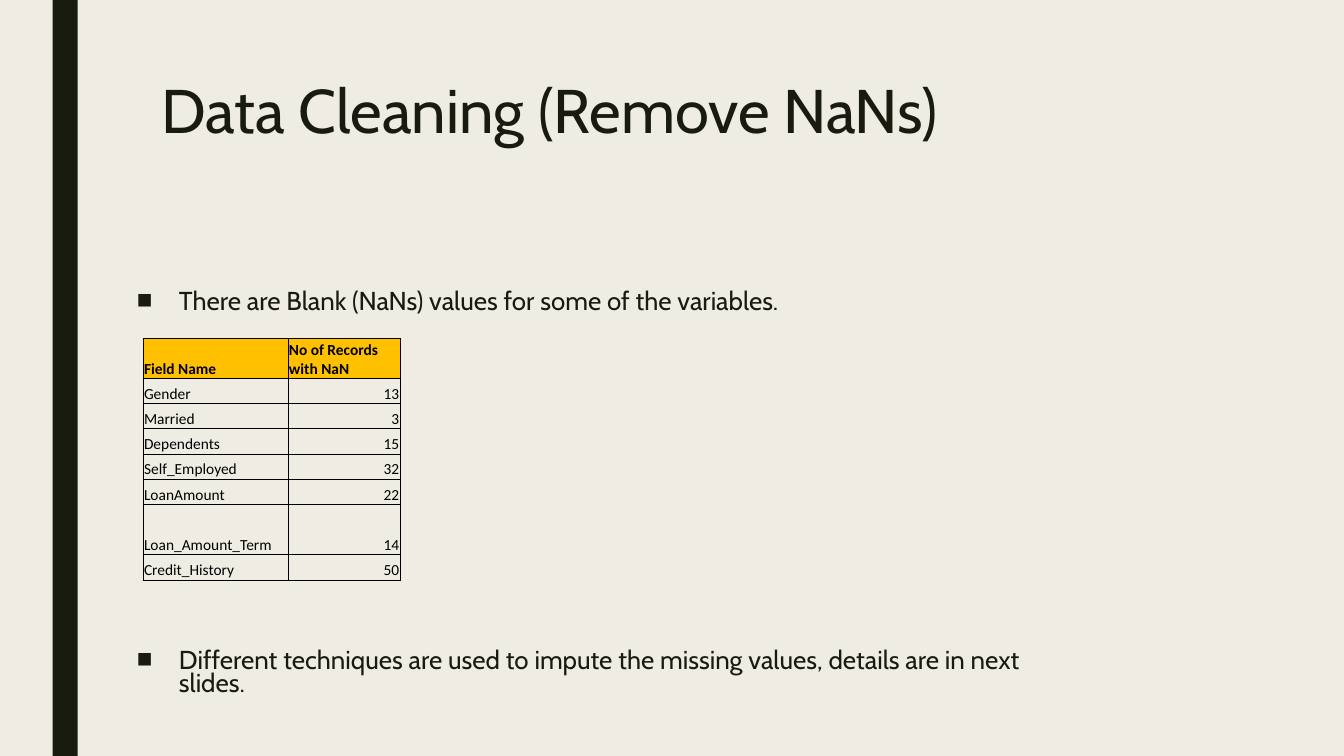
from lxml.etree import SubElement
from pptx import Presentation
from pptx.dml.color import RGBColor
from pptx.enum.shapes import MSO_SHAPE
from pptx.enum.text import MSO_ANCHOR, PP_ALIGN
from pptx.oxml.ns import qn
from pptx.util import Pt

COLORS = {"paper": "EFEDE3", "ink": "191B0E", "header": "FFC000", "black": "000000"}


def write(para, text, size, font="Cabin", color="ink", bold=False,
          align=PP_ALIGN.LEFT, spacing=None, before=0, after=0, bullet=None):
    """Fill a paragraph with one formatted span, optionally bulleted."""
    para.alignment = align
    para.line_spacing = spacing
    para.space_before, para.space_after = Pt(before), Pt(after)
    span = para.add_run()
    span.text = text
    span.font.name, span.font.size, span.font.bold = font, Pt(size), bold
    span.font.color.rgb = RGBColor.from_string(COLORS[color])
    if bullet:
        properties = para._p.get_or_add_pPr()
        properties.set("marL", str(Pt(30)))
        properties.set("indent", str(-Pt(30)))
        SubElement(properties, qn("a:buFont"), typeface="Arial")
        SubElement(properties, qn("a:buChar"), char=bullet)


def outline(cell):
    """Draw a thin black line on all four sides of a cell."""
    properties = cell._tc.get_or_add_tcPr()
    for index, side in enumerate(("a:lnL", "a:lnR", "a:lnT", "a:lnB")):
        line = SubElement(properties, qn(side), w=str(Pt(0.5)))
        fill = SubElement(line, qn("a:solidFill"))
        SubElement(fill, qn("a:srgbClr"), val=COLORS["black"])
        properties.insert(index, line)  # borders come before the cell fill


deck = Presentation()
deck.slide_width, deck.slide_height = Pt(960), Pt(540)
page = deck.slides.add_slide(deck.slide_layouts[6])
page.background.fill.solid()
page.background.fill.fore_color.rgb = RGBColor.from_string(COLORS["paper"])

# Side bar
bar = page.shapes.add_shape(MSO_SHAPE.RECTANGLE, Pt(37.5), Pt(0), Pt(18), Pt(540))
bar.shadow.inherit = False
bar.fill.solid()
bar.fill.fore_color.rgb = RGBColor.from_string(COLORS["ink"])
bar.line.fill.background()

# Title
title = page.shapes.add_textbox(Pt(108), Pt(54), Pt(756), Pt(116.5))
title.text_frame.word_wrap = True
write(title.text_frame.paragraphs[0], "Data Cleaning (Remove NaNs)", 44, spacing=0.89)

# Bullets, with room for the table between them
body = page.shapes.add_textbox(Pt(90.8), Pt(205.2), Pt(695), Pt(302.4))
body.text_frame.word_wrap = True
bullet_format = {"size": 18.5, "spacing": 0.74, "after": 2, "bullet": "■"}
write(body.text_frame.paragraphs[0],
      "There are Blank (NaNs) values for some of the variables.",
      before=10, **bullet_format)
write(body.text_frame.add_paragraph(),
      "Different techniques are used to impute the missing values, "
      "details are in next slides.", before=238, **bullet_format)

# Missing value counts
records = [
    ("Field Name", "No of Records with NaN"),
    ("Gender", "13"),
    ("Married", "3"),
    ("Dependents", "15"),
    ("Self_Employed", "32"),
    ("LoanAmount", "22"),
    ("Loan_Amount_Term", "14"),
    ("Credit_History", "50"),
]
heights = {"Field Name": 28.5, "Loan_Amount_Term": 36}
table = page.shapes.add_table(len(records), 2, Pt(102.2), Pt(241.7),
                              Pt(183.7), Pt(172.5)).table
table.columns[0].width, table.columns[1].width = Pt(103.5), Pt(80.2)
for row, record in enumerate(records):
    table.rows[row].height = Pt(heights.get(record[0], 18))
    for column, text in enumerate(record):
        cell = table.cell(row, column)
        cell.vertical_anchor = MSO_ANCHOR.BOTTOM
        cell.margin_left = cell.margin_right = cell.margin_top = Pt(0.7)
        cell.margin_bottom = Pt(0)
        if row == 0:
            cell.fill.solid()
            cell.fill.fore_color.rgb = RGBColor.from_string(COLORS["header"])
        else:
            cell.fill.background()
        outline(cell)
        is_count = row > 0 and column == 1
        write(cell.text_frame.paragraphs[0], text, 11, font="Calibri",
              color="black", bold=row == 0,
              align=PP_ALIGN.RIGHT if is_count else PP_ALIGN.LEFT)

deck.save("out.pptx")
